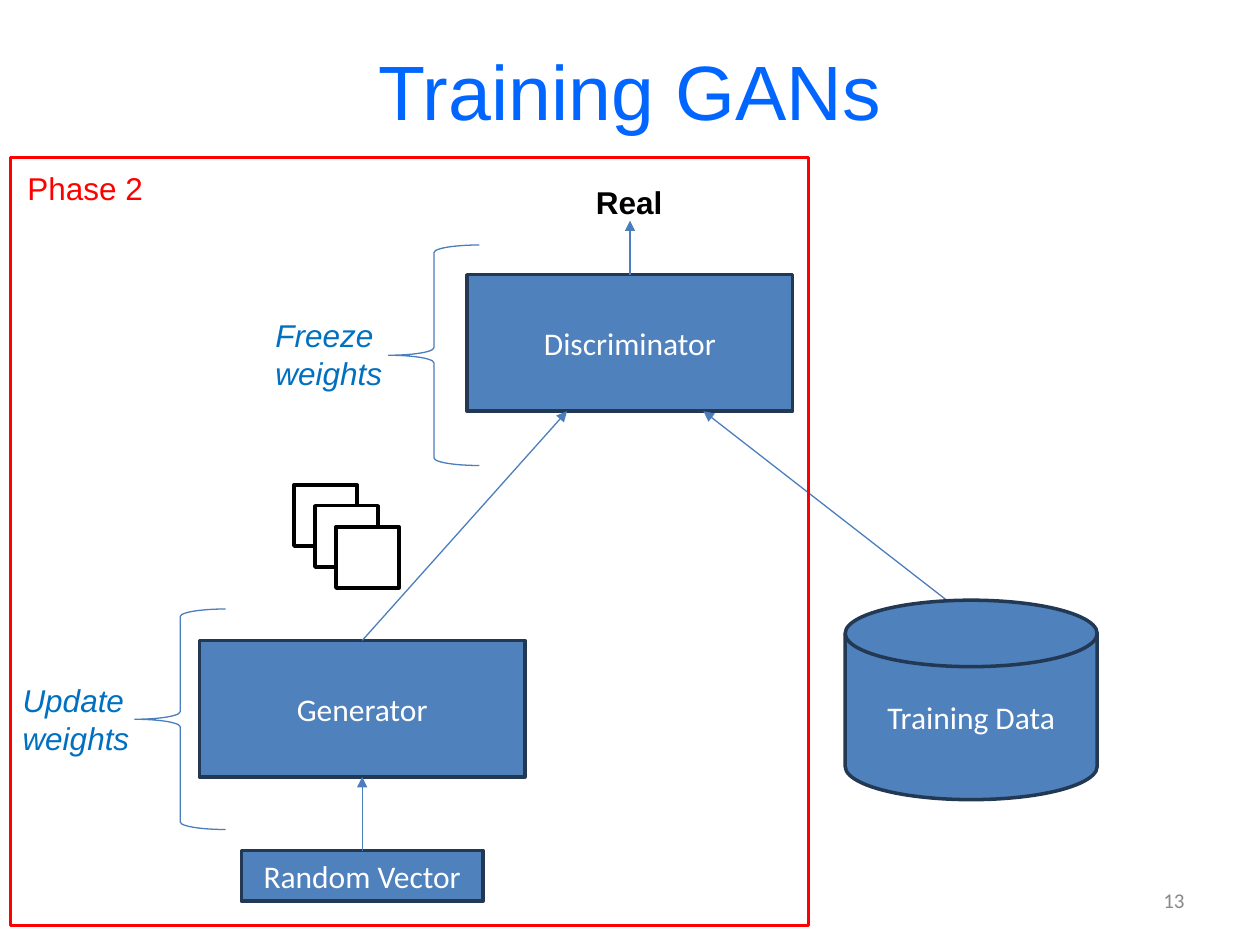
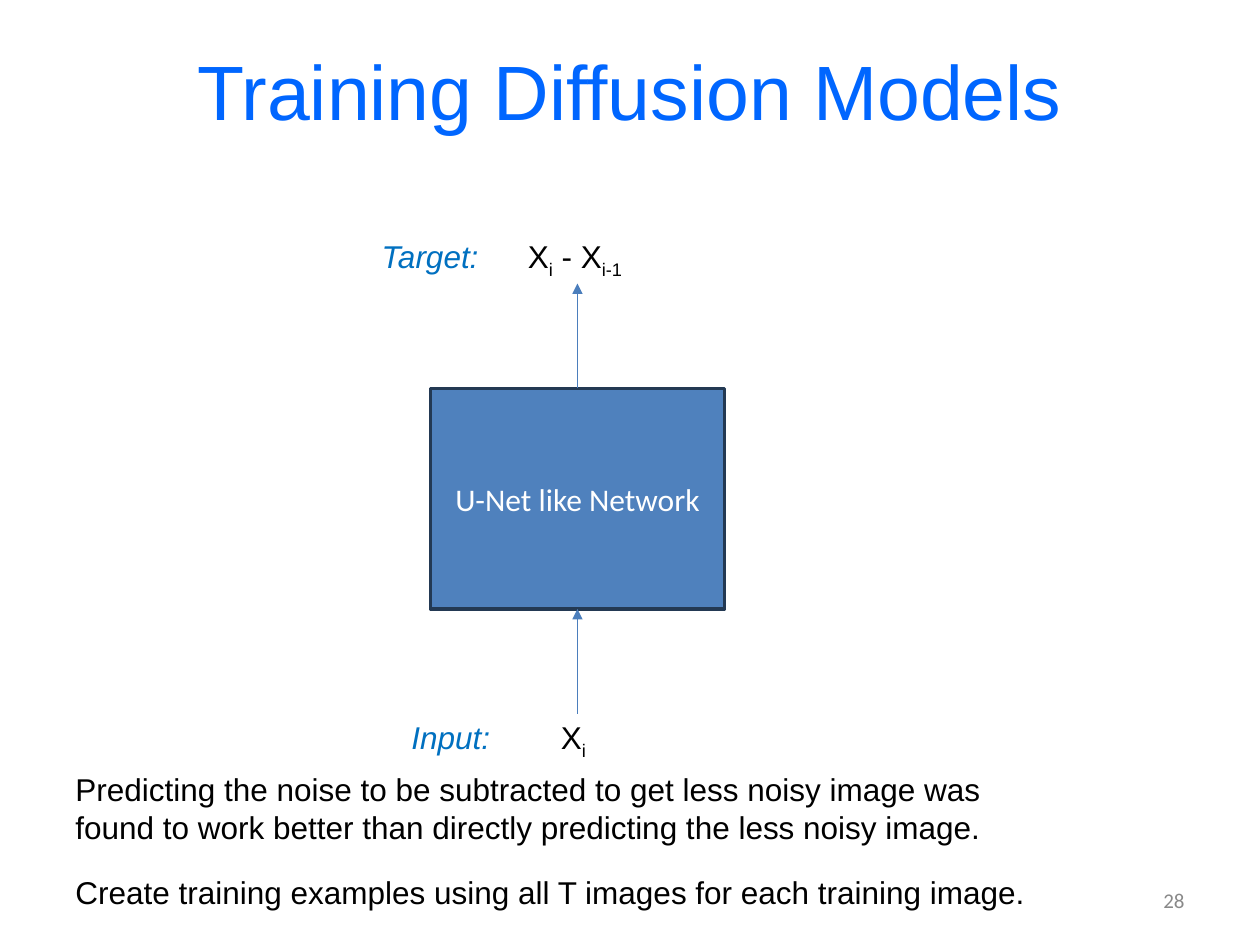
from dataclasses import dataclass

from lxml.etree import SubElement
from pptx import Presentation
from pptx.dml.color import RGBColor
from pptx.enum.shapes import MSO_CONNECTOR, MSO_SHAPE
from pptx.enum.text import MSO_ANCHOR, MSO_AUTO_SIZE, PP_ALIGN
from pptx.oxml.ns import qn
from pptx.util import Pt


@dataclass(frozen=True)
class Theme:
    heading: str = "0066FF"
    block: str = "4F81BD"
    block_edge: str = "233953"
    arrow: str = "4B7EBC"
    note: str = "0070C0"
    phase: str = "FF0000"
    muted: str = "898989"
    black: str = "000000"
    white: str = "FFFFFF"
    body_font: str = "Arial"
    block_font: str = "Calibri"
    title_size: int = 44
    body_size: int = 18
    number_size: int = 12
    thick: float = 2
    thin: float = 0.75


class Deck:
    """Holds the theme and the slide being drawn; all lengths are points."""

    def __init__(self, theme):
        self.theme = theme
        self.prs = Presentation()
        self.prs.slide_width, self.prs.slide_height = Pt(720), Pt(540)
        self.s = None

    def new_slide(self, title, number):
        t = self.theme
        self.s = self.prs.slides.add_slide(self.prs.slide_layouts[6])
        self.fixed_text(36, 6, 648, 90, title, PP_ALIGN.CENTER,
                        size=t.title_size, color=t.heading)
        self.fixed_text(516, 500, 168, 29, str(number), PP_ALIGN.RIGHT,
                        size=t.number_size, color=t.muted, font=t.block_font)

    def run(self, p, text, size=None, color=None, font=None,
            bold=None, italic=None, sub=False):
        t = self.theme
        r = p.add_run()
        r.text = text
        r.font.size = Pt(size or t.body_size)
        r.font.name = font or t.body_font
        r.font.color.rgb = RGBColor.from_string(color or t.black)
        r.font.bold, r.font.italic = bold, italic
        if sub:
            r._r.get_or_add_rPr().set("baseline", "-25000")

    def fixed_text(self, x, y, w, h, text, align, **style):
        tf = self.s.shapes.add_textbox(Pt(x), Pt(y), Pt(w), Pt(h)).text_frame
        tf.word_wrap = True
        tf.vertical_anchor = MSO_ANCHOR.MIDDLE
        p = tf.paragraphs[0]
        p.alignment = align
        self.run(p, text, **style)

    def label(self, x, y, w, *lines, **style):
        """Unwrapped label; a line is a string or a list of (text, is_sub)."""
        h = 29 + 22 * (len(lines) - 1)
        tf = self.s.shapes.add_textbox(Pt(x), Pt(y), Pt(w), Pt(h)).text_frame
        tf.word_wrap = False
        tf.auto_size = MSO_AUTO_SIZE.SHAPE_TO_FIT_TEXT
        for i, line in enumerate(lines):
            p = tf.add_paragraph() if i else tf.paragraphs[0]
            parts = [(line, False)] if isinstance(line, str) else line
            for text, sub in parts:
                self.run(p, text, sub=sub, **style)

    def note(self, x, y, w, *lines):
        self.label(x, y, w, *lines, color=self.theme.note, italic=True)

    def shape(self, kind, x, y, w, h, line, width, fill=None):
        sp = self.s.shapes.add_shape(kind, Pt(x), Pt(y), Pt(w), Pt(h))
        sp.shadow.inherit = False
        if fill:
            sp.fill.solid()
            sp.fill.fore_color.rgb = RGBColor.from_string(fill)
        else:
            sp.fill.background()
        sp.line.color.rgb = RGBColor.from_string(line)
        sp.line.width = Pt(width)
        return sp

    def block(self, x, y, w, h, text, kind=MSO_SHAPE.RECTANGLE):
        t = self.theme
        sp = self.shape(kind, x, y, w, h, t.block_edge, t.thick, t.block)
        tf = sp.text_frame
        tf.word_wrap = True
        tf.vertical_anchor = MSO_ANCHOR.MIDDLE
        p = tf.paragraphs[0]
        p.alignment = PP_ALIGN.CENTER
        self.run(p, text, color=t.white, font=t.block_font)

    def frame(self, x, y, w, h, color, fill=None):
        self.shape(MSO_SHAPE.RECTANGLE, x, y, w, h, color, self.theme.thick, fill)

    def brace(self, x, y):
        t = self.theme
        self.shape(MSO_SHAPE.LEFT_BRACE, x, y, 52, 126, t.arrow, t.thin)

    def arrow(self, x1, y1, x2, y2):
        t = self.theme
        c = self.s.shapes.add_connector(
            MSO_CONNECTOR.STRAIGHT, Pt(x1), Pt(y1), Pt(x2), Pt(y2))
        c.line.color.rgb = RGBColor.from_string(t.arrow)
        c.line.width = Pt(t.thin)
        SubElement(c.line._get_or_add_ln(), qn("a:tailEnd"), type="triangle")
        SubElement(c._element.spPr, qn("a:effectLst"))


def gan_slide(d):
    t = d.theme
    d.new_slide("Training GANs", 13)

    # Networks and their inputs
    d.block(138, 486, 138, 29, "Random Vector")
    d.block(114, 366, 186, 78, "Generator")
    d.block(267, 157, 186, 78, "Discriminator")
    d.arrow(207, 486, 207, 444)
    d.arrow(207, 366, 324, 235)
    d.arrow(541, 343, 402, 235)
    d.block(483, 343, 144, 114, "Training Data", MSO_SHAPE.FLOWCHART_MAGNETIC_DISK)

    # Phase frame and discriminator output
    d.frame(6, 90, 456, 439, t.phase)
    d.label(8.6, 93, 81, "Phase 2", color=t.phase)
    d.label(333.5, 101, 53, "Real", bold=True)
    d.arrow(360, 157, 360, 126)

    # Which weights change
    d.brace(222, 140)
    d.note(150.3, 177, 76, "Freeze", "weights")
    d.brace(77, 348)
    d.note(5.8, 385.5, 78, "Update", "weights")

    # Stack of generated images
    for i in range(3):
        d.frame(168 + 12 * i, 277 + 12 * i, 36, 35, t.black, t.white)


def diffusion_slide(d):
    d.new_slide("Training Diffusion Models", 28)

    # Network with input below and target above
    d.block(246, 222, 168, 126, "U-Net like Network")
    for start in (408, 222):
        d.arrow(330, start, 330, start - 60)
    d.label(313.4, 407, 29.5, [("X", False), ("i", True)])
    d.label(294.5, 132, 71, [("X", False), ("i", True), (" - X", False), ("i-1", True)])
    d.note(228, 407, 60, "Input:")
    d.note(211, 132, 70.5, "Target:")

    # Remarks
    d.label(36, 436.5, 536.5,
            "Predicting the noise to be subtracted to get less noisy image was",
            "found to work better than directly predicting the less noisy image.")
    d.label(36, 495.5, 577.5,
            "Create training examples using all T images for each training image.")


def main():
    d = Deck(Theme())
    gan_slide(d)
    diffusion_slide(d)
    d.prs.save("out.pptx")


if __name__ == "__main__":
    main()
